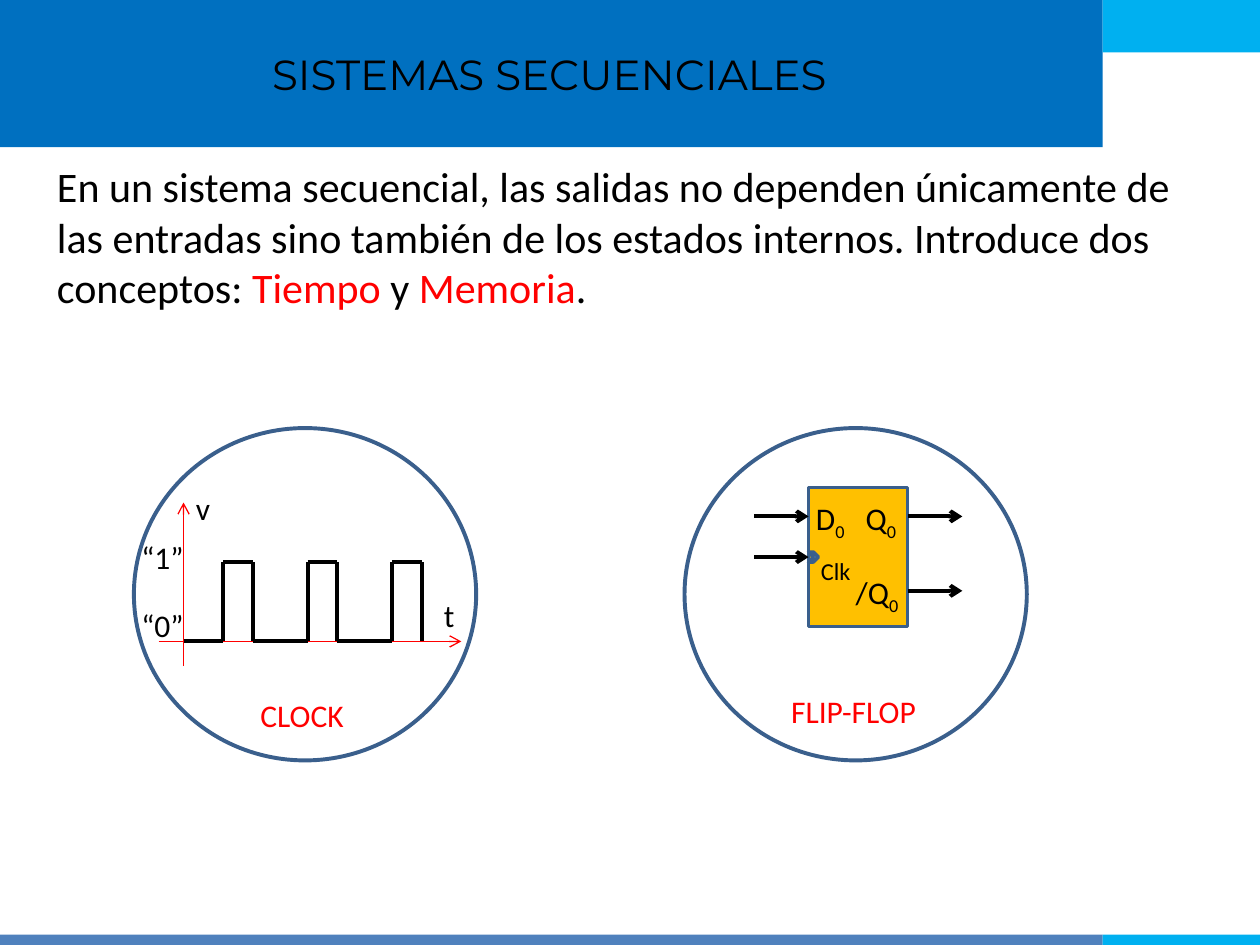
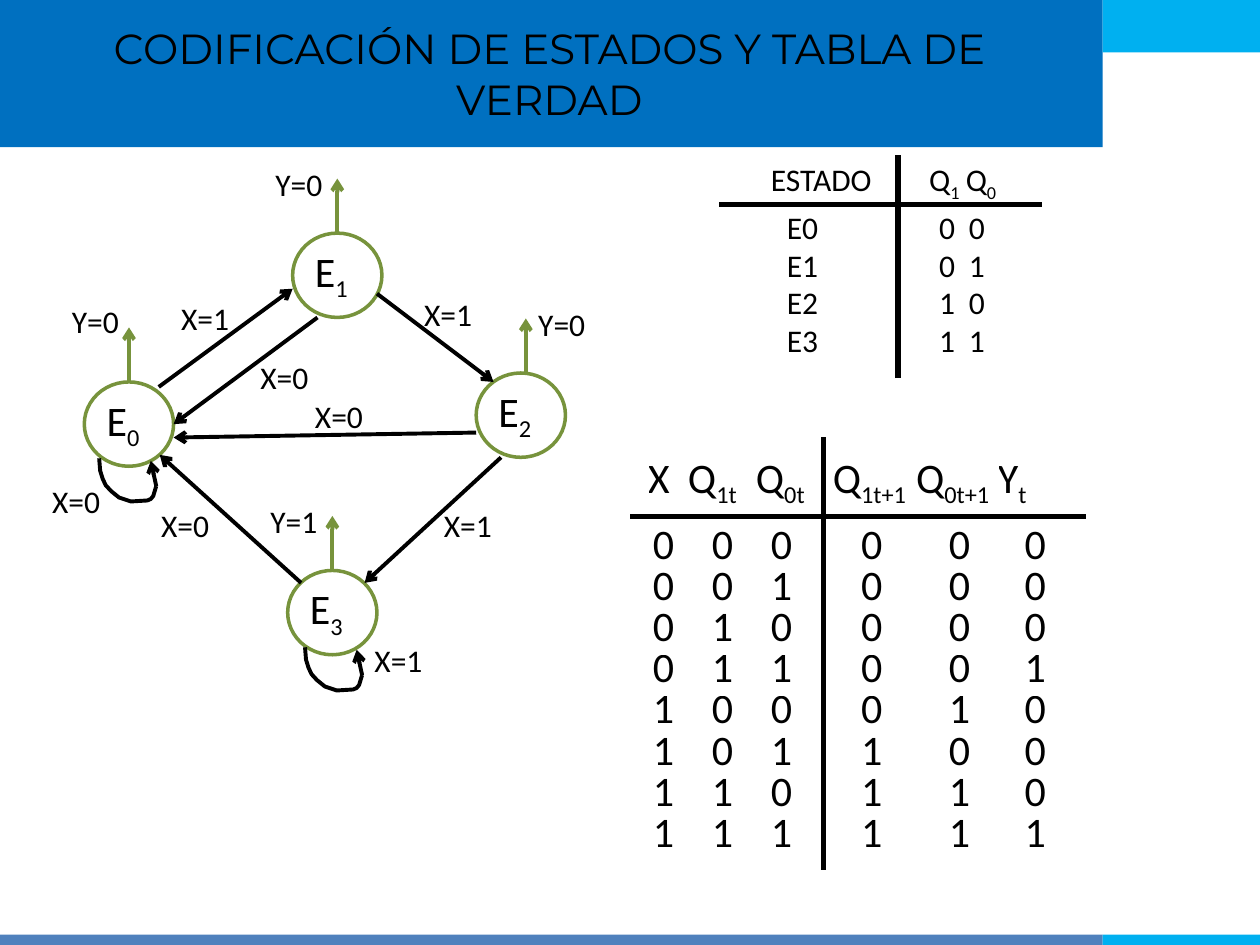
"""Build two slides on sequential systems: clock and flip-flop, then state coding."""
from dataclasses import dataclass
from itertools import pairwise
from typing import NamedTuple, Optional

from lxml import etree
from pptx import Presentation
from pptx.dml.color import RGBColor
from pptx.enum import shapes, text
from pptx.oxml import ns
from pptx.util import Cm, Pt

COLOURS = {
    "black": "000000",
    "red": "FF0000",
    "title_band": "0070C0",
    "accent": "00B0F0",
    "footer": "4F81BD",
    "outline": "3A5F8C",
    "state": "77933C",
    "chip": "FFC000",
}
BODY_FONT = "Calibri"
TITLE_FONT = "Montserrat"
SHAPE = shapes.MSO_SHAPE


class Point(NamedTuple):
    x: float
    y: float


class Box(NamedTuple):
    left: float
    top: float
    width: float
    height: float


class Label(NamedTuple):
    content: str
    left: float
    top: float
    width: float = 1.6
    size: float = 18
    colour: str = "black"


class Arrow(NamedTuple):
    start: Point
    end: Point


class Transition(NamedTuple):
    arrow: Arrow
    label: Label


class Loop(NamedTuple):
    corner: Point
    label: Label


@dataclass
class State:
    name: str
    left: float
    top: float
    output: Label
    output_offset: float = 0.9


@dataclass
class Column:
    header: str
    left: float
    body_inset: float
    values: str


@dataclass
class Grid:
    columns: list[Column]
    top: float
    right: float
    header_height: float
    row_height: float
    size: float
    line_spacing: float
    rules: list[Arrow]


BANDS = [
    (Box(0, 0, 22.23, 2.97), "title_band"),
    (Box(22.23, 0, 3.17, 1.06), "accent"),
    (Box(0, 18.84, 22.23, 0.21), "footer"),
    (Box(22.23, 18.84, 3.17, 0.21), "accent"),
]
TITLE_BOX = Box(0.28, 0.25, 21.59, 2.46)

INTRODUCTION = [
    ("En un sistema secuencial, las salidas no dependen únicamente de las entradas "
     "sino también de los estados internos. Introduce dos conceptos: ", "black"),
    ("Tiempo", "red"), (" y ", "black"), ("Memoria", "red"), (".", "black"),
]
CLOCK_AXES = [
    Arrow(Point(3.7, 13.43), Point(3.7, 10.13)),
    Arrow(Point(3.2, 12.93), Point(9.3, 12.93)),
]
CLOCK_LABELS = [
    Label("v", 3.7, 9.73, 0.8),
    Label("t", 8.7, 11.9, 0.8),
    Label("“1”", 2.6, 10.72, 1.4),
    Label("“0”", 2.6, 12.1, 1.4),
    Label("CLOCK", 5, 13.9, 2.5, colour="red"),
]
FLIP_FLOP_ARROWS = [Arrow(Point(x, y), Point(x + 1.1, y)) for x, y in
                    ((18.3, 10.41), (18.3, 11.91), (15.2, 11.23), (15.2, 10.41))]
FLIP_FLOP_LABELS = [
    Label("D_0", 16.2, 9.93, 1.2),
    Label("Q_0", 17.2, 9.93, 1.3),
    Label("/Q_0", 17, 11.43, 1.5),
    Label("_Clk", 16.3, 10.52, 1.5, 24),
    Label("FLIP-FLOP", 15.7, 13.82, 3.3, colour="red"),
]

STATES = [
    State("E_0", 1.7, 7.7, Label("Y=0", 1.2, 5.97)),
    State("E_1", 5.9, 4.7, Label("Y=0", 5.3, 3.2)),
    State("E_2", 9.6, 7.52, Label("Y=0", 10.6, 6.02), 1.0),
    State("E_3", 5.8, 11.5, Label("Y=1", 5.2, 10)),
]
TRANSITIONS = [
    Transition(Arrow(Point(3.2, 7.8), Point(5.9, 5.82)), Label("X=1", 3.4, 5.9)),
    Transition(Arrow(Point(7.6, 5.92), Point(9.95, 7.7)), Label("X=1", 8.3, 5.82)),
    Transition(Arrow(Point(6.4, 6.4), Point(3.5, 8.55)), Label("X=0", 5, 7.09)),
    Transition(Arrow(Point(9.6, 8.72), Point(3.5, 8.82)), Label("X=0", 6.1, 7.87)),
    Transition(Arrow(Point(10.1, 9.22), Point(7.35, 11.75)), Label("X=1", 8.7, 10.08)),
    Transition(Arrow(Point(6.07, 11.75), Point(3.22, 9.17)), Label("X=0", 3, 10.08)),
]
LOOPS = [
    Loop(Point(2, 9.24), Label("X=0", 0.8, 9.6)),
    Loop(Point(6.15, 13.05), Label("X=1", 7.3, 12.8)),
]
LOOP_OUTLINE = [
    (0, 0), (0.02, 0.25), (0.07, 0.41), (0.13, 0.54), (0.24, 0.66), (0.4, 0.79),
    (0.55, 0.84), (0.64, 0.87), (0.97, 0.85), (1.04, 0.82), (1.09, 0.76), (1.15, 0.56),
]
LOOP_TIP = Point(1.04, 0.05)

STATE_CODES = Grid(
    [
        Column("ESTADO", 15.54, 0.32, "E0 E1 E2 E3"),
        Column("Q_1", 18.73, 0.2, "0 0 1 1"),
        Column("Q_0", 19.47, 0.06, "0 1 0 1"),
    ],
    top=3.25, right=20.5, header_height=0.99, row_height=0.76, size=18, line_spacing=21.5,
    rules=[Arrow(Point(14.5, 4.12), Point(21, 4.12)),
           Arrow(Point(18.1, 7.62), Point(18.1, 3.12))],
)
TRUTH_TABLE = Grid(
    [
        Column("X", 13.06, 0.1, "0 0 0 0 1 1 1 1"),
        Column("Q_1t", 13.87, 0.48, "0 0 1 1 0 0 1 1"),
        Column("Q_0t", 15.24, 0.3, "0 1 0 1 0 1 0 1"),
        Column("Q_1t+1", 16.79, 0.57, "0 0 0 0 0 1 1 1"),
        Column("Q_0t+1", 18.47, 0.66, "0 0 0 0 1 0 1 1"),
        Column("Y_t", 20.12, 0.54, "0 0 0 1 0 0 0 1"),
    ],
    top=9.14, right=21.5, header_height=1.55, row_height=0.83, size=24, line_spacing=23,
    rules=[Arrow(Point(12.7, 10.41), Point(21.9, 10.41)),
           Arrow(Point(16.6, 17.53), Point(16.6, 8.81))],
)


def colour_of(name: str) -> RGBColor:
    """Return the named palette colour."""
    return RGBColor.from_string(COLOURS[name])


def style_paragraph(paragraph, size: float, colour: str = "black", name: str = BODY_FONT) -> None:
    """Set the font shared by all runs of a paragraph."""
    paragraph.font.size = Pt(size)
    paragraph.font.name = name
    paragraph.font.color.rgb = colour_of(colour)


def write_symbol(paragraph, content: str) -> None:
    """Write a symbol, lowering whatever follows an underscore."""
    base, _, subscript = content.partition("_")
    if base:
        paragraph.add_run().text = base
    if subscript:
        run = paragraph.add_run()
        run.text = subscript
        run._r.get_or_add_rPr().set("baseline", "-25000")


def add_text_box(slide, box: Box):
    """Add a wrapping text box and return its text frame."""
    frame = slide.shapes.add_textbox(*map(Cm, box)).text_frame
    frame.word_wrap = True
    return frame


def add_label(slide, label: Label) -> None:
    """Add a one-line label."""
    frame = add_text_box(slide, Box(label.left, label.top, label.width, label.size * 0.055))
    write_symbol(frame.paragraphs[0], label.content)
    style_paragraph(frame.paragraphs[0], label.size, label.colour)


def paint(shape, fill: Optional[str], line: Optional[str], width: float = 2) -> None:
    """Set the fill and outline of a shape and remove its shadow."""
    shape.shadow.inherit = False
    if fill:
        shape.fill.solid()
        shape.fill.fore_color.rgb = colour_of(fill)
    else:
        shape.fill.background()
    if line:
        shape.line.color.rgb = colour_of(line)
        shape.line.width = Pt(width)
    else:
        shape.line.fill.background()


def add_shape(slide, kind, box: Box, fill: Optional[str] = None,
              line: Optional[str] = None, width: float = 2) -> None:
    """Add a painted preset shape."""
    paint(slide.shapes.add_shape(kind, *map(Cm, box)), fill, line, width)


def add_line(slide, start: Point, end: Point, colour: str = "black",
             width: float = 2.25, arrow: bool = False) -> None:
    """Add a straight line, with an arrowhead at its end if asked."""
    connector = slide.shapes.add_connector(
        shapes.MSO_CONNECTOR.STRAIGHT, *map(Cm, (*start, *end)))
    connector.line.color.rgb = colour_of(colour)
    connector.line.width = Pt(width)
    if arrow:
        etree.SubElement(connector.line._get_or_add_ln(), ns.qn("a:tailEnd"), type="arrow")
    etree.SubElement(connector._element.spPr, ns.qn("a:effectLst"))


def add_base_slide(presentation, title: str):
    """Add a blank slide with the shared bands and title."""
    slide = presentation.slides.add_slide(presentation.slide_layouts[6])
    for box, fill in BANDS:
        add_shape(slide, SHAPE.RECTANGLE, box, fill)
    frame = add_text_box(slide, TITLE_BOX)
    frame.vertical_anchor = text.MSO_ANCHOR.MIDDLE
    paragraph = frame.paragraphs[0]
    paragraph.text = title
    paragraph.alignment = text.PP_ALIGN.CENTER
    style_paragraph(paragraph, 24, name=TITLE_FONT)
    return slide


def add_state(slide, state: State) -> None:
    """Add a state circle with its name and output arrow."""
    add_shape(slide, SHAPE.OVAL, Box(state.left, state.top, 1.8, 1.7), line="state")
    add_label(slide, Label(state.name, state.left + 0.2, state.top + 0.12, 1.4, 24))
    x = state.left + state.output_offset
    add_line(slide, Point(x, state.top), Point(x, state.top - 1.1), "state", arrow=True)
    add_label(slide, state.output)


def add_loop(slide, loop: Loop) -> None:
    """Add a transition from a state to itself."""
    points = [Point(loop.corner.x + x, loop.corner.y + y) for x, y in LOOP_OUTLINE]
    builder = slide.shapes.build_freeform(*map(Cm, points[0]))
    builder.add_line_segments([(Cm(x), Cm(y)) for x, y in points[1:]], close=False)
    paint(builder.convert_to_shape(), None, "black", 2.25)
    tip = Point(loop.corner.x + LOOP_TIP.x, loop.corner.y + LOOP_TIP.y)
    add_line(slide, points[-1], tip, arrow=True)
    add_label(slide, loop.label)


def add_grid(slide, grid: Grid) -> None:
    """Add a table of symbols and values with its two rules."""
    contents = [[column.header, *column.values.split()] for column in grid.columns]
    row_count = len(contents[0])
    edges = [column.left for column in grid.columns] + [grid.right]
    height = grid.header_height + grid.row_height * (row_count - 1)
    table = slide.shapes.add_table(row_count, len(contents), Cm(edges[0]), Cm(grid.top),
                                   Cm(grid.right - edges[0]), Cm(height)).table
    table.first_row = table.horz_banding = False
    for index, row in enumerate(table.rows):
        row.height = Cm(grid.row_height if index else grid.header_height)
    for index, (left, right) in enumerate(pairwise(edges)):
        table.columns[index].width = Cm(right - left)
        for row_index, content in enumerate(contents[index]):
            cell = table.cell(row_index, index)
            cell.fill.background()
            cell.margin_left = Cm(grid.columns[index].body_inset if row_index else 0)
            cell.margin_right = cell.margin_top = cell.margin_bottom = 0
            paragraph = cell.text_frame.paragraphs[0]
            write_symbol(paragraph, content)
            style_paragraph(paragraph, grid.size)
            if row_index:
                paragraph.line_spacing = Pt(grid.line_spacing)
    for rule in grid.rules:
        add_line(slide, *rule, width=3)


def build_systems_slide(presentation) -> None:
    """Build the slide on time and memory."""
    slide = add_base_slide(presentation, "SISTEMAS SECUENCIALES")
    paragraph = add_text_box(slide, Box(0.9, 3.12, 23.5, 3.33)).paragraphs[0]
    style_paragraph(paragraph, 24)
    for content, colour in INTRODUCTION:
        run = paragraph.add_run()
        run.text = content
        run.font.color.rgb = colour_of(colour)
    for left in (2.7, 13.8):
        add_shape(slide, SHAPE.OVAL, Box(left, 8.63, 6.9, 6.7), line="outline", width=2.25)

    for axis in CLOCK_AXES:
        add_line(slide, *axis, "red", 0.75, arrow=True)
    low, high, pulse = 12.93, 11.33, 0.6
    wave = [Point(3.7, low)]
    for start in (4.5 + 1.7 * index for index in range(3)):
        wave += [Point(start, low), Point(start, high),
                 Point(start + pulse, high), Point(start + pulse, low)]
    for start, end in pairwise(wave):
        add_line(slide, start, end)

    add_shape(slide, SHAPE.RECTANGLE, Box(16.3, 9.83, 2, 2.8), "chip", "outline")
    add_shape(slide, SHAPE.CHEVRON, Box(16.3, 11.13, 0.2, 0.2), "footer", "outline")
    for arrow in FLIP_FLOP_ARROWS:
        add_line(slide, *arrow, arrow=True)
    for label in CLOCK_LABELS + FLIP_FLOP_LABELS:
        add_label(slide, label)


def build_states_slide(presentation) -> None:
    """Build the slide with the state diagram and its tables."""
    slide = add_base_slide(presentation, "CODIFICACIÓN DE ESTADOS Y TABLA DE VERDAD")
    for state in STATES:
        add_state(slide, state)
    for transition in TRANSITIONS:
        add_line(slide, *transition.arrow, arrow=True)
        add_label(slide, transition.label)
    for loop in LOOPS:
        add_loop(slide, loop)
    for grid in (STATE_CODES, TRUTH_TABLE):
        add_grid(slide, grid)


def main() -> None:
    """Build and save the presentation."""
    presentation = Presentation()
    presentation.slide_width, presentation.slide_height = Cm(25.4), Cm(19.05)
    build_systems_slide(presentation)
    build_states_slide(presentation)
    presentation.save("out.pptx")


main()
